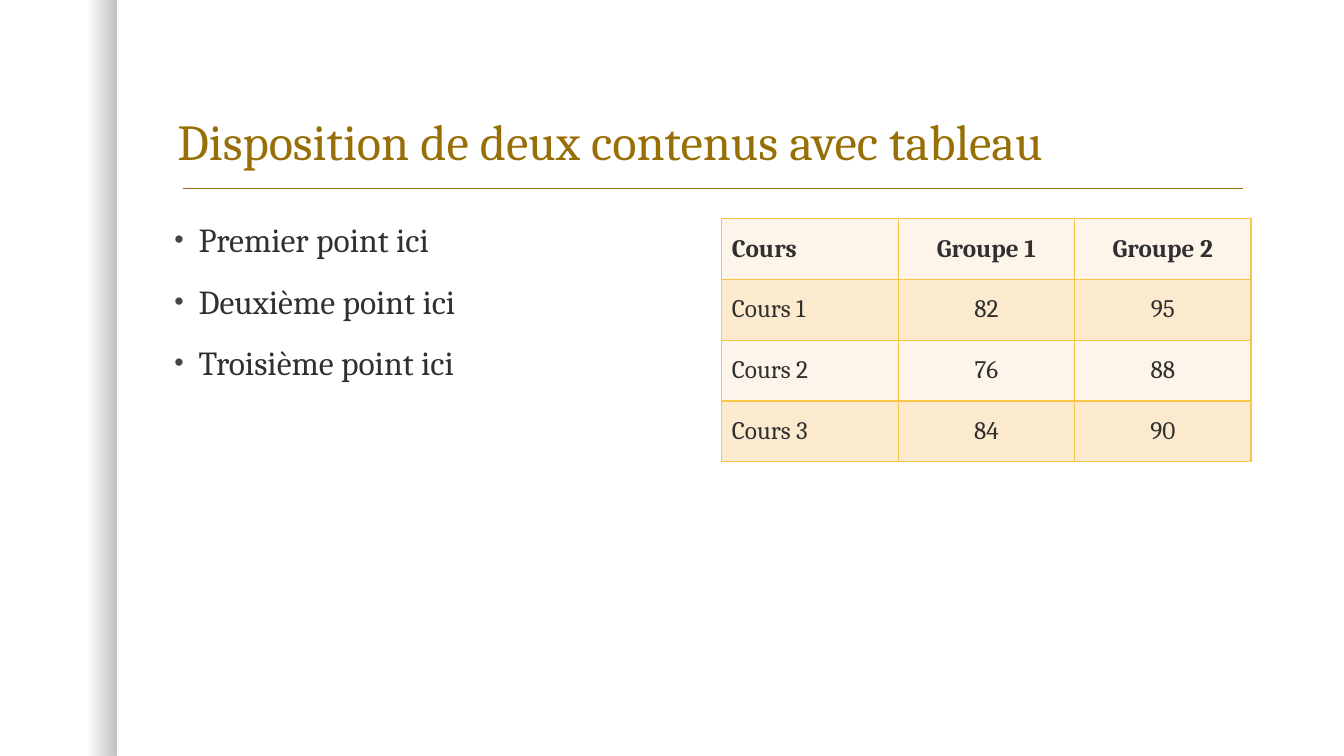
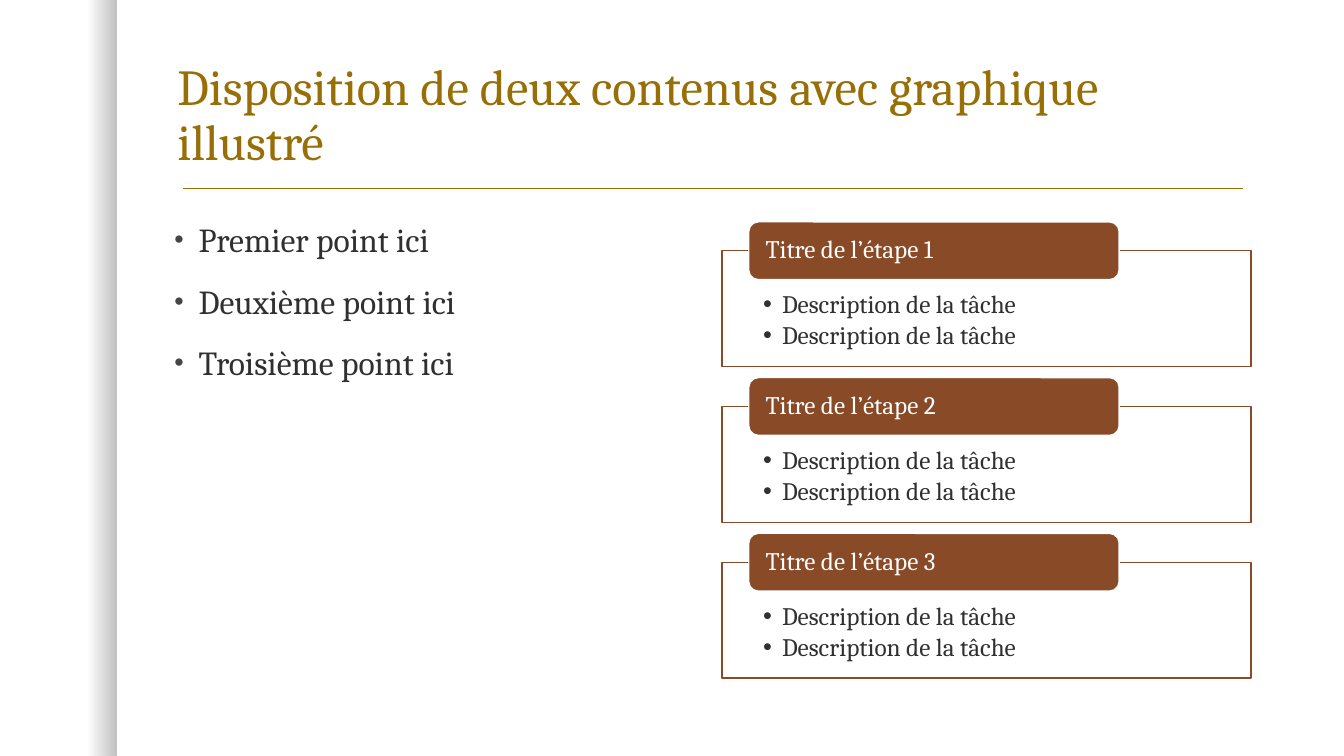
from dataclasses import dataclass

from lxml import etree
from pptx import Presentation
from pptx.dml.color import RGBColor
from pptx.enum.shapes import MSO_CONNECTOR, MSO_SHAPE
from pptx.enum.text import MSO_ANCHOR, MSO_AUTO_SIZE, PP_ALIGN
from pptx.oxml.ns import qn
from pptx.util import Pt

RECT, ROUNDED = MSO_SHAPE.RECTANGLE, MSO_SHAPE.ROUNDED_RECTANGLE
STRAIGHT = MSO_CONNECTOR.STRAIGHT
TOP, MIDDLE, BOTTOM = MSO_ANCHOR.TOP, MSO_ANCHOR.MIDDLE, MSO_ANCHOR.BOTTOM
LEFT, CENTER = PP_ALIGN.LEFT, PP_ALIGN.CENTER
NO_FIT = MSO_AUTO_SIZE.NONE

TABLE_TITLE = "Disposition de deux contenus avec tableau"
STEPS_TITLE = "Disposition de deux contenus avec graphique illustré"
POINTS = ["Premier point ici", "Deuxième point ici", "Troisième point ici"]
SCORES = [
    ("Cours", "Groupe 1", "Groupe 2"),
    ("Cours 1", "82", "95"),
    ("Cours 2", "76", "88"),
    ("Cours 3", "84", "90"),
]
TASKS = ["Description de la tâche", "Description de la tâche"]
STEPS = [
    ("Titre de l’étape 1", TASKS),
    ("Titre de l’étape 2", TASKS),
    ("Titre de l’étape 3", TASKS),
]


@dataclass(frozen=True)
class Theme:
    font: str = "Cambria"
    gold: str = "986F07"
    ink: str = "303030"
    bullet: str = "454545"
    brown: str = "894A27"
    white: str = "FFFFFF"
    shade: str = "000000"
    border: str = "F7C547"
    rows: tuple = ("FDF5E9", "FCEACF")
    title_size: float = 36
    body_size: float = 24
    detail_size: float = 18
    line_width: float = 1


THEME = Theme()
SLIDE_SIZE = (960, 540)
BAND = (0, 0, 83.5, 540)
RULE = (130.5, 134.6, 888, 134.6)
TITLE = (119.5, 30, 774, 96)
BODY = (117.4, 156.2, 378, 330)
RIGHT_X, RIGHT_Y, RIGHT_W = 515.6, 156.2, 378
ROW_H = 43.4
FRAME_Y, FRAME_H, STEP_PITCH = 179.1, 82.7, 111.25
TAB_INDENT, TAB_W, TAB_H = 19.2, 264.6, 41.3
BODY_INSETS = (7.2, 3.6, 7.2, 3.6)
FRAME_INSETS = (29.5, 29.5, 29.5, 10)
TAB_INSETS = (10, 0, 10, 0)


def rgb(color):
    return RGBColor.from_string(color)


def pts(values):
    return [Pt(value) for value in values]


def set_attributes(target, values):
    for name, value in values.items():
        setattr(target, name, value)


def add_child(parent, tag, **attributes):
    return etree.SubElement(parent, qn(tag), attributes)


def set_alpha(parent, percent):
    color = parent.find(".//" + qn("a:srgbClr"))
    add_child(color, "a:alpha", val=str(percent * 1000))


def add_bullet(paragraph, indent, color, scale):
    properties = paragraph._p.get_or_add_pPr()
    properties.set("marL", str(Pt(indent)))
    properties.set("indent", str(-Pt(indent)))
    add_child(add_child(properties, "a:buClr"), "a:srgbClr", val=color)
    add_child(properties, "a:buSzPct", val=str(scale * 1000))
    add_child(properties, "a:buFont", typeface="Arial")
    add_child(properties, "a:buChar", char="•")


def write(frame, lines, size, color, bold=False, align=LEFT, spacing=0.9,
          before=0, after=0, bullet=None):
    for number, line in enumerate(lines):
        paragraph = frame.add_paragraph() if number else frame.paragraphs[0]
        if bullet:
            add_bullet(paragraph, *bullet)
        set_attributes(paragraph, {
            "alignment": align,
            "line_spacing": spacing,
            "space_before": Pt(before if number else 0),
            "space_after": Pt(after),
        })
        run = paragraph.add_run()
        run.text = line
        set_attributes(run.font, {"name": THEME.font, "size": Pt(size), "bold": bold})
        run.font.color.rgb = rgb(color)


def set_frame(frame, anchor, insets):
    left, top, right, bottom = pts(insets)
    set_attributes(frame, {
        "word_wrap": True,
        "auto_size": NO_FIT,
        "vertical_anchor": anchor,
        "margin_left": left,
        "margin_top": top,
        "margin_right": right,
        "margin_bottom": bottom,
    })


def add_box(slide, kind, box, fill, line):
    shape = slide.shapes.add_shape(kind, *pts(box))
    shape.shadow.inherit = False
    shape.fill.solid()
    shape.fill.fore_color.rgb = rgb(fill)
    shape.line.color.rgb = rgb(line)
    shape.line.width = Pt(THEME.line_width)
    return shape


def add_band(slide):
    band = slide.shapes.add_shape(RECT, *pts(BAND))
    band.shadow.inherit = False
    band.line.fill.background()
    band.fill.gradient()
    gradient = band._element.spPr.find(qn("a:gradFill"))
    gradient.find(qn("a:lin")).set("ang", "0")
    for stop, position, alpha in zip(band.fill.gradient_stops, (0.75, 1), (0, 25)):
        stop.position = position
        stop.color.rgb = rgb(THEME.shade)
        set_alpha(stop._gs, alpha)


def add_rule(slide):
    rule = slide.shapes.add_connector(STRAIGHT, *pts(RULE))
    rule.line.color.rgb = rgb(THEME.gold)
    rule.line.width = Pt(THEME.line_width)
    add_child(rule._element.spPr, "a:effectLst")


def add_content_slide(deck, heading):
    slide = deck.slides.add_slide(deck.slide_layouts[5])
    add_band(slide)
    add_rule(slide)
    title = slide.shapes.title
    set_attributes(title, dict(zip(("left", "top", "width", "height"), pts(TITLE))))
    set_frame(title.text_frame, BOTTOM, BODY_INSETS)
    write(title.text_frame, [heading], THEME.title_size, THEME.gold)
    body = slide.shapes.add_textbox(*pts(BODY)).text_frame
    set_frame(body, TOP, BODY_INSETS)
    write(body, POINTS, THEME.body_size, THEME.ink, before=18,
          bullet=(17.3, THEME.bullet, 80))
    return slide


def set_borders(cell):
    properties = cell._tc.get_or_add_tcPr()
    for side in ("a:lnL", "a:lnR", "a:lnT", "a:lnB"):
        line = add_child(properties, side, w=str(Pt(THEME.line_width)))
        add_child(add_child(line, "a:solidFill"), "a:srgbClr", val=THEME.border)


def add_scores(slide):
    row_count, column_count = len(SCORES), len(SCORES[0])
    box = (RIGHT_X, RIGHT_Y, RIGHT_W, ROW_H * row_count)
    table = slide.shapes.add_table(row_count, column_count, *pts(box)).table
    table.horz_banding = False
    for row, values in enumerate(SCORES):
        for column, value in enumerate(values):
            cell = table.cell(row, column)
            set_borders(cell)
            cell.fill.solid()
            cell.fill.fore_color.rgb = rgb(THEME.rows[row % 2])
            cell.vertical_anchor = MIDDLE
            write(cell.text_frame, [value], THEME.detail_size, THEME.ink,
                  bold=row == 0, align=CENTER if column else LEFT, spacing=1.0)


def add_steps(slide):
    for number, (heading, tasks) in enumerate(STEPS):
        top = FRAME_Y + number * STEP_PITCH
        frame = add_box(slide, RECT, (RIGHT_X, top, RIGHT_W, FRAME_H),
                        THEME.white, THEME.brown)
        set_alpha(frame._element.spPr.find(qn("a:solidFill")), 90)
        set_frame(frame.text_frame, TOP, FRAME_INSETS)
        write(frame.text_frame, tasks, THEME.detail_size, THEME.ink, after=2.7,
              bullet=(13.5, THEME.ink, 100))
        tab = add_box(slide, ROUNDED,
                      (RIGHT_X + TAB_INDENT, top - TAB_H / 2, TAB_W, TAB_H),
                      THEME.brown, THEME.white)
        set_frame(tab.text_frame, MIDDLE, TAB_INSETS)
        write(tab.text_frame, [heading], THEME.detail_size, THEME.white)


def main():
    deck = Presentation()
    deck.slide_width, deck.slide_height = pts(SLIDE_SIZE)
    add_scores(add_content_slide(deck, TABLE_TITLE))
    add_steps(add_content_slide(deck, STEPS_TITLE))
    deck.save("out.pptx")


if __name__ == "__main__":
    main()
